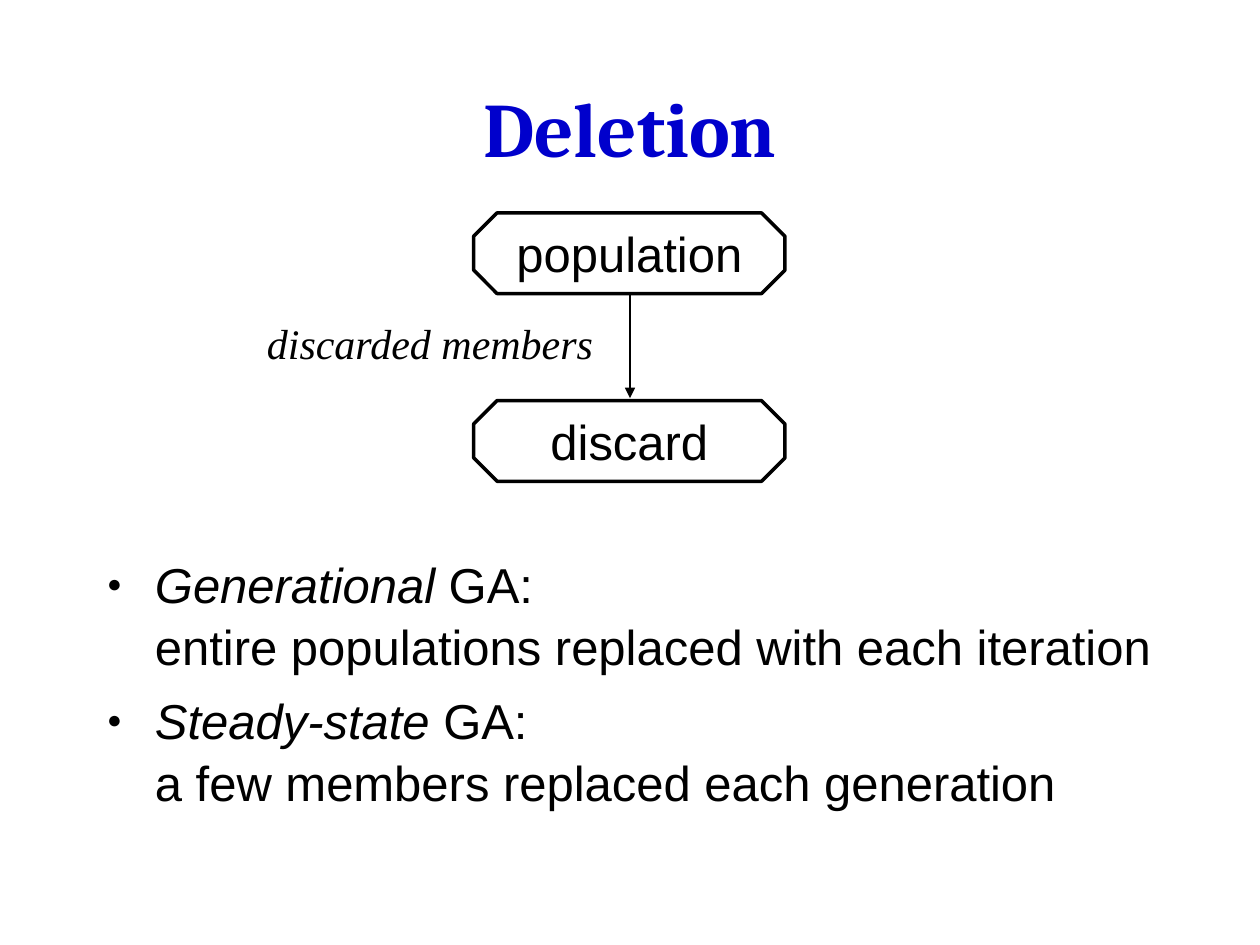
from lxml.etree import SubElement
from pptx import Presentation
from pptx.dml.color import RGBColor
from pptx.enum.shapes import MSO_CONNECTOR as Connector, MSO_SHAPE as Shape
from pptx.enum.text import MSO_ANCHOR as Anchor, MSO_AUTO_SIZE as AutoSize, PP_ALIGN as Align
from pptx.oxml.ns import qn
from pptx.util import Inches, Pt

BLACK = RGBColor(0x00, 0x00, 0x00)
WHITE = RGBColor(0xFF, 0xFF, 0xFF)
BLUE = RGBColor(0x00, 0x00, 0xCC)


class SlideBuilder:
    """Holds the text styles and the slide being built."""

    title_font = dict(name="Cambria", size=Pt(44), bold=True)
    text_font = dict(name="Arial", size=Pt(28))
    label_font = dict(name="Times New Roman", size=Pt(24), italic=True)

    def __init__(self, slide):
        self.slide = slide

    def place(self, shape, left, top, width, height):
        shape.left, shape.top = Inches(left), Inches(top)
        shape.width, shape.height = Inches(width), Inches(height)

    def add_text(self, paragraph, text, style, color=BLACK):
        run = paragraph.add_run()
        run.text = text
        for key, value in style.items():
            setattr(run.font, key, value)
        run.font.color.rgb = color

    def title(self, text, *box):
        heading = self.slide.shapes.title
        self.place(heading, *box)
        frame = heading.text_frame
        frame.auto_size = AutoSize.NONE
        frame.vertical_anchor = Anchor.BOTTOM
        frame.paragraphs[0].alignment = Align.CENTER
        self.add_text(frame.paragraphs[0], text, self.title_font, BLUE)

    def bullets(self, items, top_inset, *box):
        body = self.slide.placeholders[1]
        self.place(body, *box)
        frame = body.text_frame
        frame.auto_size = AutoSize.NONE
        frame.margin_top = Inches(top_inset)
        for index, (term, rest, meaning) in enumerate(items):
            paragraph = frame.add_paragraph() if index else frame.paragraphs[0]
            paragraph.space_before = Pt(7)
            paragraph.line_spacing = 1.05
            self.bullet(paragraph)
            self.add_text(paragraph, term, self.text_font | {"italic": True})
            self.add_text(paragraph, rest, self.text_font)
            paragraph.add_line_break()
            self.add_text(paragraph, meaning, self.text_font)

    def bullet(self, paragraph):
        indent = Inches(0.38)
        properties = paragraph._p.get_or_add_pPr()
        properties.set("marL", str(indent))
        properties.set("indent", str(-indent))
        color = SubElement(properties, qn("a:buClr"))
        SubElement(color, qn("a:srgbClr"), val=str(BLACK))
        SubElement(properties, qn("a:buSzPct"), val="50000")
        SubElement(properties, qn("a:buFont"), typeface="Arial")
        SubElement(properties, qn("a:buChar"), char="●")

    def octagon(self, text, *box):
        node = self.slide.shapes.add_shape(Shape.OCTAGON, *map(Inches, box))
        node.adjustments[0] = 0.29
        node.shadow.inherit = False
        node.fill.solid()
        node.fill.fore_color.rgb = WHITE
        node.line.color.rgb = BLACK
        node.line.width = Pt(2)
        frame = node.text_frame
        frame.word_wrap = False
        frame.vertical_anchor = Anchor.MIDDLE
        frame.paragraphs[0].alignment = Align.CENTER
        self.add_text(frame.paragraphs[0], text, self.text_font)

    def arrow(self, *ends):
        flow = self.slide.shapes.add_connector(Connector.STRAIGHT, *map(Inches, ends))
        flow.line.color.rgb = BLACK
        flow.line.width = Pt(1)
        SubElement(flow.line._get_or_add_ln(), qn("a:tailEnd"), type="triangle")
        SubElement(flow._element.spPr, qn("a:effectLst"))

    def label(self, text, *box):
        frame = self.slide.shapes.add_textbox(*map(Inches, box)).text_frame
        frame.word_wrap = False
        frame.auto_size = AutoSize.SHAPE_TO_FIT_TEXT
        self.add_text(frame.paragraphs[0], text, self.label_font)


def main():
    deck = Presentation()
    deck.slide_width, deck.slide_height = Inches(10), Inches(7.5)
    builder = SlideBuilder(deck.slides.add_slide(deck.slide_layouts[1]))

    # Title and explanations below the diagram
    builder.title("Deletion", 0.75, 0.25, 8.5, 1.17)
    explanations = [
        ("Generational", " GA:", "entire populations replaced with each iteration"),
        ("Steady-state", " GA:", "a few members replaced each generation"),
    ]
    builder.bullets(explanations, 2.63, 0.75, 1.75, 8.5, 4.83)

    # Flow from the population to the discard
    for text, top in (("population", 1.69), ("discard", 3.18)):
        builder.octagon(text, 3.76, top, 2.47, 0.64)
    builder.arrow(5, 2.34, 5, 3.16)
    builder.label("discarded members", 2.02, 2.47, 2.8, 0.5)

    deck.save("out.pptx")


if __name__ == "__main__":
    main()
